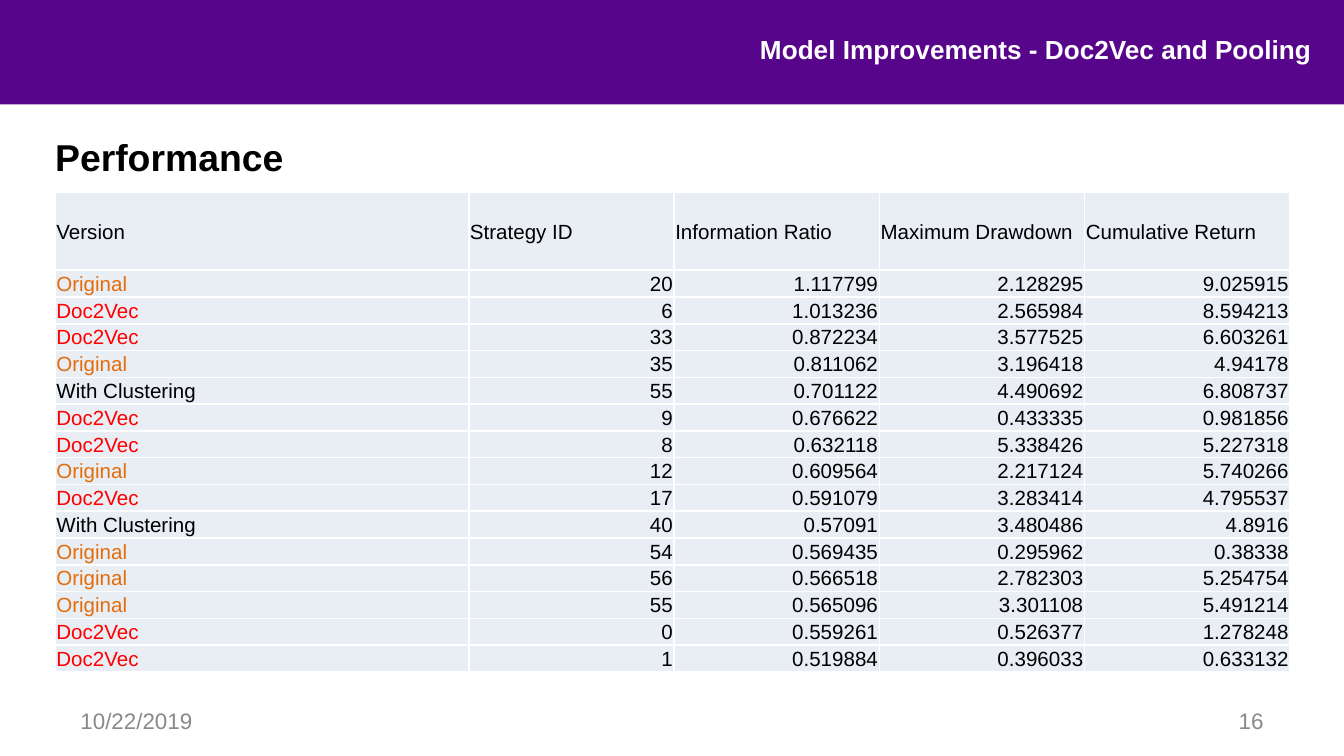
from lxml import etree
from pptx import Presentation
from pptx.dml.color import RGBColor
from pptx.enum.shapes import MSO_SHAPE
from pptx.enum.text import MSO_ANCHOR, MSO_AUTO_SIZE, PP_ALIGN
from pptx.oxml.ns import qn
from pptx.util import Pt

LEFT, RIGHT = PP_ALIGN.LEFT, PP_ALIGN.RIGHT
TOP, MIDDLE = MSO_ANCHOR.TOP, MSO_ANCHOR.MIDDLE
NO_FIT = MSO_AUTO_SIZE.NONE
RECT = MSO_SHAPE.RECTANGLE

PURPLE, WHITE, BLACK, GREY = "57068C", "FFFFFF", "000000", "898989"
CELL_FILL = "E9EDF4"
VERSION_COLORS = {"Original": "E46C0A", "Doc2Vec": "FF0000"}

TITLE = "Model Improvements - Doc2Vec and Pooling"
HEADING = "Performance"
DATE = "10/22/2019"
PAGE = "16"

ROWS = [
    ("Version", "Strategy ID", "Information Ratio", "Maximum Drawdown", "Cumulative Return"),
    ("Original", "20", "1.117799", "2.128295", "9.025915"),
    ("Doc2Vec", "6", "1.013236", "2.565984", "8.594213"),
    ("Doc2Vec", "33", "0.872234", "3.577525", "6.603261"),
    ("Original", "35", "0.811062", "3.196418", "4.94178"),
    ("With Clustering", "55", "0.701122", "4.490692", "6.808737"),
    ("Doc2Vec", "9", "0.676622", "0.433335", "0.981856"),
    ("Doc2Vec", "8", "0.632118", "5.338426", "5.227318"),
    ("Original", "12", "0.609564", "2.217124", "5.740266"),
    ("Doc2Vec", "17", "0.591079", "3.283414", "4.795537"),
    ("With Clustering", "40", "0.57091", "3.480486", "4.8916"),
    ("Original", "54", "0.569435", "0.295962", "0.38338"),
    ("Original", "56", "0.566518", "2.782303", "5.254754"),
    ("Original", "55", "0.565096", "3.301108", "5.491214"),
    ("Doc2Vec", "0", "0.559261", "0.526377", "1.278248"),
    ("Doc2Vec", "1", "0.519884", "0.396033", "0.633132"),
]

TABLE_LEFT, TABLE_TOP, TABLE_H = 29.5, 103.2, 257
VERSION_W, VALUE_W = 221.6, 110
HEADER_H = 41.6


def rgb(value):
    return RGBColor.from_string(value)


def write(tf, text, size, color, bold=False, align=LEFT, before=0):
    p = tf.paragraphs[0]
    p.alignment = align
    p.space_before = Pt(before)
    r = p.add_run()
    r.text = text
    r.font.color.rgb = rgb(color)
    for name, value in {"name": "Arial", "size": Pt(size), "bold": bold}.items():
        setattr(r.font, name, value)


def place(sp, left, top, width, height, margins, anchor):
    box = {"left": left, "top": top, "width": width, "height": height}
    for name, value in box.items():
        setattr(sp, name, Pt(value))
    tf = sp.text_frame
    across, down = margins
    frame = {
        "margin_left": Pt(across), "margin_right": Pt(across),
        "margin_top": Pt(down), "margin_bottom": Pt(down),
        "word_wrap": True, "auto_size": NO_FIT, "vertical_anchor": anchor,
    }
    for name, value in frame.items():
        setattr(tf, name, value)
    return tf


def add_text(s, left, top, width, height, margins, anchor):
    sp = s.shapes.add_textbox(0, 0, 0, 0)
    return place(sp, left, top, width, height, margins, anchor)


def set_borders(cell, color, width):
    tc_pr = cell._tc.get_or_add_tcPr()
    for side in ("a:lnL", "a:lnR", "a:lnT", "a:lnB"):
        ln = etree.SubElement(tc_pr, qn(side), w=str(Pt(width)))
        fill = etree.SubElement(ln, qn("a:solidFill"))
        etree.SubElement(fill, qn("a:srgbClr"), val=color)


def add_results(s):
    width = VERSION_W + VALUE_W * (len(ROWS[0]) - 1)
    frame = s.shapes.add_table(len(ROWS), len(ROWS[0]), Pt(TABLE_LEFT),
                               Pt(TABLE_TOP), Pt(width), Pt(TABLE_H))
    table = frame.table
    for i, column in enumerate(table.columns):
        column.width = Pt(VALUE_W if i else VERSION_W)
    row_h = (TABLE_H - HEADER_H) / (len(ROWS) - 1)
    cell_format = {
        "margin_left": Pt(0.7), "margin_right": Pt(0.7), "margin_top": Pt(0.7),
        "margin_bottom": 0, "vertical_anchor": MIDDLE,
    }
    for i, values in enumerate(ROWS):
        table.rows[i].height = Pt(row_h if i else HEADER_H)
        for j, text in enumerate(values):
            cell = table.cell(i, j)
            for name, value in cell_format.items():
                setattr(cell, name, value)
            set_borders(cell, WHITE, 1)
            cell.fill.solid()
            cell.fill.fore_color.rgb = rgb(CELL_FILL)
            write(cell.text_frame, text, 11, VERSION_COLORS.get(text, BLACK),
                  align=RIGHT if i and j else LEFT)


def main():
    prs = Presentation()
    prs.slide_width, prs.slide_height = Pt(720), Pt(405)
    s = prs.slides.add_slide(prs.slide_layouts[5])

    band = s.shapes.add_shape(RECT, 0, 0, Pt(720), Pt(56))
    band.shadow.inherit = False
    band.fill.solid()
    band.fill.fore_color.rgb = rgb(PURPLE)
    band.line.fill.background()

    title = s.shapes.title
    title.element.addprevious(band.element)
    tf = place(title, 373, 18, 329.8, 21, (0, 0), TOP)
    write(tf, TITLE, 14, WHITE, True, RIGHT, 1)

    tf = add_text(s, TABLE_LEFT, 72, 654.5, 30, (0, 0), TOP)
    write(tf, HEADING, 20, BLACK, True, before=3)

    for text, left, align in ((DATE, 36, LEFT), (PAGE, 516, RIGHT)):
        tf = add_text(s, left, 375.4, 168, 21.6, (7.2, 3.6), MIDDLE)
        write(tf, text, 12, GREY, align=align)

    add_results(s)
    prs.save("out.pptx")


if __name__ == "__main__":
    main()
